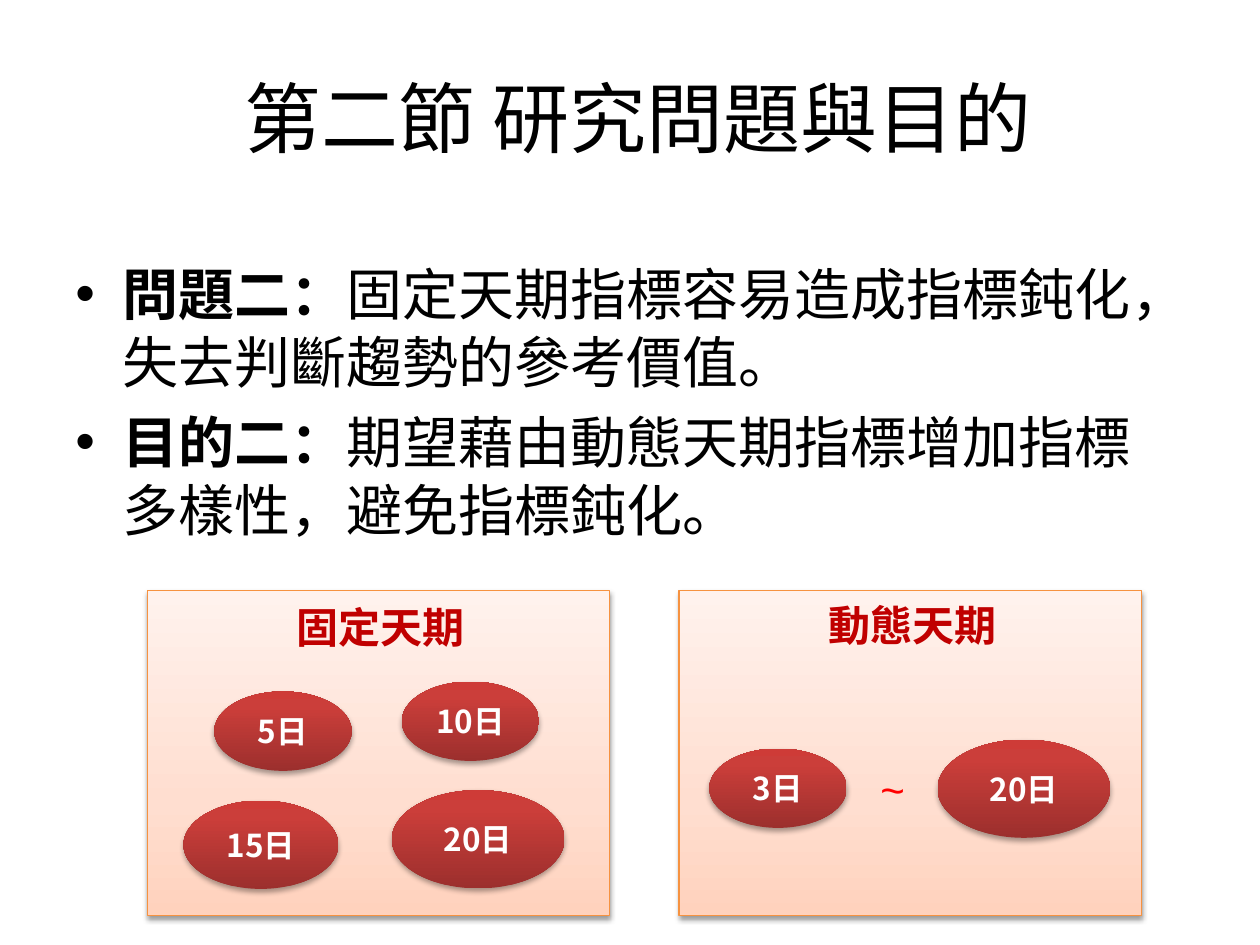
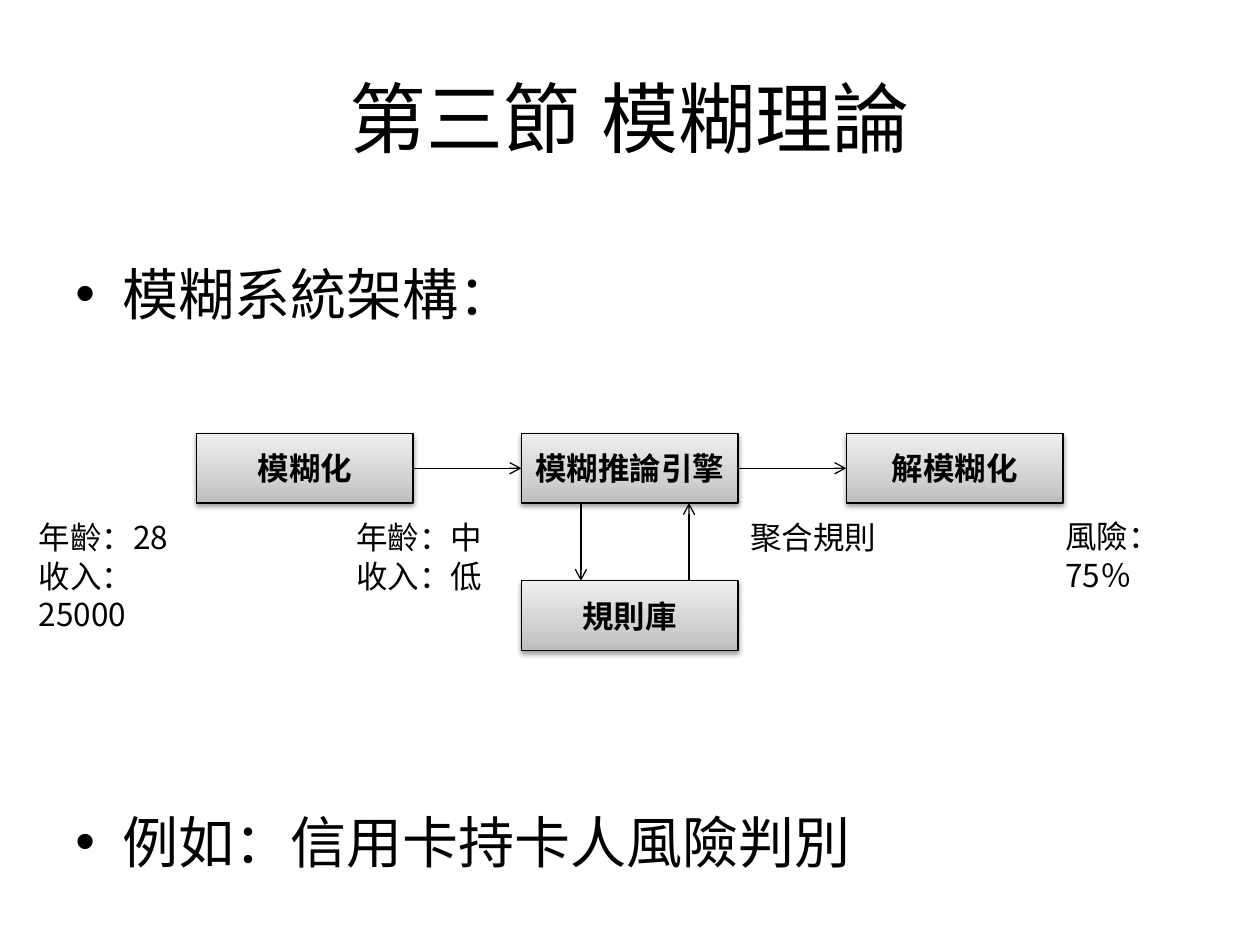
from lxml.etree import SubElement
from pptx import Presentation
from pptx.dml.color import RGBColor
from pptx.enum.shapes import MSO_CONNECTOR as Connector, MSO_SHAPE as Shape
from pptx.enum.text import MSO_ANCHOR as Anchor, PP_ALIGN as Align
from pptx.oxml.ns import qn
from pptx.util import Cm, Pt

FONT = "Noto Sans CJK SC"
BLACK, WHITE, RED, DARK_RED = "000000", "FFFFFF", "FF0000", "C00000"
PEACH_LINE = "F69240"
PEACH = [(0, "FFD2BD"), (35, "FFDED0"), (100, "FFF2ED")]
CRIMSON = [(0, "9C2F2D"), (80, "CB3E3A"), (100, "CE3B37")]
GREY = [(0, "BDBDBD"), (35, "D1D1D1"), (100, "EEEEEE")]
LINE_HEIGHT = 1.22


def rgb(hex_color):
    return RGBColor.from_string(hex_color)


def add_element(parent, tag, **attributes):
    return SubElement(parent, qn(tag), {key: str(value) for key, value in attributes.items()})


def add_color(parent, hex_color):
    return add_element(parent, "a:srgbClr", val=hex_color)


def write(paragraph, text, size=18, color=BLACK, bold=False, font=FONT):
    """Append one formatted run, with the same font for Latin and East Asian text."""
    run = paragraph.add_run()
    run.text = text
    run.font.size = Pt(size)
    run.font.bold = bold
    run.font.name = font
    run.font.color.rgb = rgb(color)
    add_element(run.font._element, "a:ea", typeface=font)


class Deck:
    def __init__(self):
        self.presentation = Presentation()
        self.presentation.slide_width = Cm(25.4)
        self.presentation.slide_height = Cm(19.05)
        self.slide = None

    def new_slide(self, title):
        self.slide = self.presentation.slides.add_slide(self.presentation.slide_layouts[6])
        frame = self.text_frame(1.27, 0.76, 22.86, 3.18)
        frame.vertical_anchor = Anchor.MIDDLE
        frame.paragraphs[0].alignment = Align.CENTER
        write(frame.paragraphs[0], title, size=44)

    def text_frame(self, left, top, width, height):
        box = self.slide.shapes.add_textbox(Cm(left), Cm(top), Cm(width), Cm(height))
        box.text_frame.word_wrap = True
        return box.text_frame

    def label(self, lines, left, top, width, height, size=18, **style):
        frame = self.text_frame(left, top, width, height)
        for index, line in enumerate(lines):
            paragraph = frame.add_paragraph() if index else frame.paragraphs[0]
            paragraph.line_spacing = Pt(size * LINE_HEIGHT)
            write(paragraph, line, size=size, **style)

    def bullets(self, items, height, gap):
        """Each item is a pair: a bold lead and the plain rest."""
        frame = self.text_frame(1.27, 5.08, 22.86, height)
        for index, (lead, rest) in enumerate(items):
            paragraph = frame.add_paragraph() if index else frame.paragraphs[0]
            properties = paragraph._p.get_or_add_pPr()
            properties.set("marL", str(Cm(0.95)))
            properties.set("indent", str(-Cm(0.95)))
            properties.set("hangingPunct", "1")
            add_element(properties, "a:buFont", typeface="Arial")
            add_element(properties, "a:buChar", char="•")
            paragraph.line_spacing = Pt(32 * LINE_HEIGHT)
            if index:
                paragraph.space_before = Pt(gap)
            if lead:
                write(paragraph, lead, size=32, bold=True)
            write(paragraph, rest, size=32)

    def block(self, kind, left, top, width, height, stops, line=None, text=None,
              color=BLACK, shadow_alpha=38, shadow_distance=1.6):
        """Add a shape with an upward gradient and a soft shadow below it."""
        shape = self.slide.shapes.add_shape(kind, Cm(left), Cm(top), Cm(width), Cm(height))
        shape.fill.gradient()
        shape.fill.gradient_angle = 90
        properties = shape._element.spPr
        stop_list = properties.find(".//" + qn("a:gsLst"))
        for old_stop in list(stop_list):
            stop_list.remove(old_stop)
        for position, hex_color in stops:
            add_color(add_element(stop_list, "a:gs", pos=position * 1000), hex_color)
        if line:
            shape.line.color.rgb = rgb(line)
            shape.line.width = Pt(0.75)
        else:
            shape.line.fill.background()
        shape.shadow.inherit = False
        shadow = add_element(properties.find(qn("a:effectLst")), "a:outerShdw",
                             blurRad=Pt(3.1), dist=Pt(shadow_distance), dir=5400000,
                             rotWithShape=0)
        add_element(add_color(shadow, BLACK), "a:alpha", val=shadow_alpha * 1000)
        if text:
            frame = shape.text_frame
            frame.word_wrap = True
            frame.vertical_anchor = Anchor.MIDDLE
            frame.paragraphs[0].alignment = Align.CENTER
            write(frame.paragraphs[0], text, color=color, bold=True)
        return shape

    def panel(self, left):
        self.block(Shape.RECTANGLE, left, 11.91, 9.32, 6.55, PEACH, PEACH_LINE)

    def day_oval(self, text, left, top, size):
        self.block(Shape.OVAL, left, top, *size, CRIMSON, text=text, color=WHITE,
                   shadow_alpha=35, shadow_distance=1.8)

    def step(self, text, left, top):
        return self.block(Shape.RECTANGLE, left, top, 4.37, 1.4, GREY, BLACK, text)

    def arrow(self, x1=0, y1=0, x2=0, y2=0):
        connector = self.slide.shapes.add_connector(
            Connector.STRAIGHT, Cm(x1), Cm(y1), Cm(x2), Cm(y2))
        connector.line.color.rgb = rgb(BLACK)
        connector.line.width = Pt(0.75)
        add_element(connector.line._get_or_add_ln(), "a:tailEnd", type="arrow")
        add_element(connector._element.spPr, "a:effectLst")
        return connector

    def join(self, source, target):
        """Draw an arrow from the right side of source to the left side of target."""
        connector = self.arrow()
        connector.begin_connect(source, 3)
        connector.end_connect(target, 1)


def research_slide(deck):
    deck.new_slide(" 第二節 研究問題與目的")
    deck.bullets([
        ("問題二：", "固定天期指標容易造成指標鈍化，失去判斷趨勢的參考價值。"),
        ("目的二：", "期望藉由動態天期指標增加指標多樣性，避免指標鈍化。"),
    ], height=6.43, gap=6.4)
    small, medium, large = (2.77, 1.6), (3.12, 1.78), (3.48, 1.98)
    heading = {"size": 24, "color": DARK_RED, "bold": True}

    deck.panel(2.97)
    for text, left, top, size in [
        ("5日", 4.32, 13.94, small),
        ("20日", 7.9, 15.93, large),
        ("10日", 8.1, 13.74, small),
        ("15日", 3.7, 16.14, medium),
    ]:
        deck.day_oval(text, left, top, size)
    deck.label(["固定天期"], 5.72, 11.99, 3.94, 1.27, **heading)

    deck.panel(13.69)
    deck.day_oval("3日", 14.3, 15.09, small)
    deck.day_oval("20日", 18.9, 14.91, large)
    deck.label(["動態天期"], 16.46, 11.94, 3.94, 1.27, **heading)
    deck.label(["~"], 17.5, 15.24, 1.02, 1.27, size=24, color=RED, font="Arial")


def fuzzy_slide(deck):
    deck.new_slide("第三節\t模糊理論")
    deck.bullets([("", "模糊系統架構："), ("", "例如：信用卡持卡人風險判別")],
                 height=12.57, gap=274)
    step_top, rules_top = 8.74, 11.71
    fuzzify, engine, defuzzify = [
        deck.step(text, 3.96 + 6.55 * column, step_top)
        for column, text in enumerate(["模糊化", "模糊推論引擎", "解模糊化"])
    ]
    deck.step("規則庫", 10.51, rules_top)
    deck.join(fuzzify, engine)
    deck.join(engine, defuzzify)
    step_bottom = step_top + 1.4
    deck.arrow(11.71, step_bottom, 11.71, rules_top)
    deck.arrow(13.89, rules_top, 13.89, step_bottom)

    deck.label(["年齡：28", "收入：25000"], 0.53, 10.31, 4.04, 1.8)
    deck.label(["風險：75％"], 21.23, 10.29, 3.71, 1.02)
    deck.label(["年齡：中", "收入：低"], 6.93, 10.31, 3.1, 1.8)
    deck.label(["聚合規則"], 14.88, 10.31, 3.1, 1.02)


def main():
    deck = Deck()
    research_slide(deck)
    fuzzy_slide(deck)
    deck.presentation.save("out.pptx")


if __name__ == "__main__":
    main()
